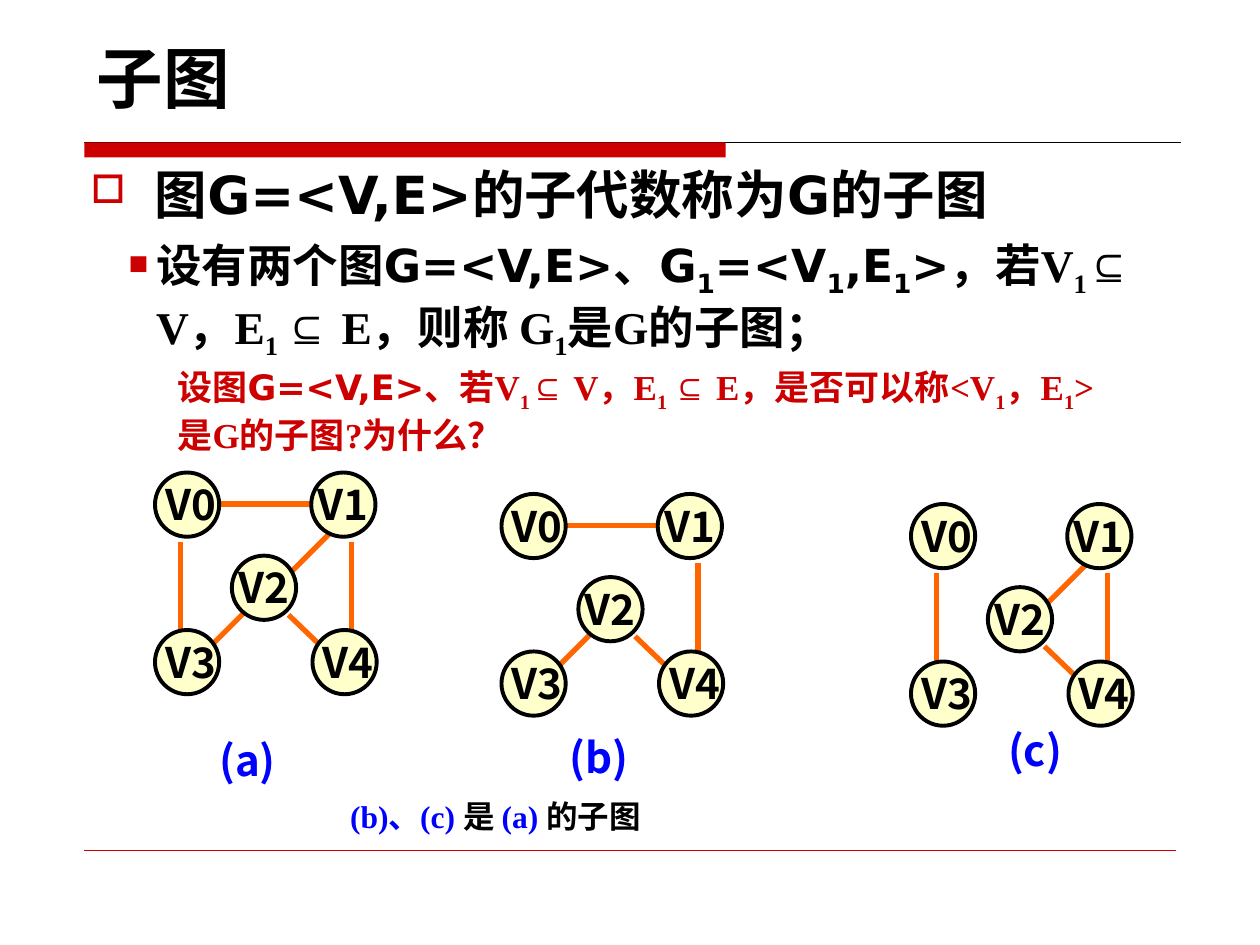
from typing import NamedTuple

from lxml.etree import SubElement
from pptx import Presentation
from pptx.dml.color import RGBColor
from pptx.enum.shapes import MSO_CONNECTOR, MSO_SHAPE
from pptx.enum.text import MSO_ANCHOR, PP_ALIGN
from pptx.oxml.ns import qn
from pptx.util import Emu, Pt

PX = 9144  # 100 px to the inch

RED = RGBColor(0xCC, 0x00, 0x00)
BLACK = RGBColor(0x00, 0x00, 0x00)
BLUE = RGBColor(0x00, 0x00, 0xFF)
ORANGE = RGBColor(0xFF, 0x66, 0x00)
CREAM = RGBColor(0xFF, 0xFF, 0xCC)

SANS = "DejaVu Sans"
SERIF = "Times New Roman"
CJK = "Noto Sans CJK SC"
SYMBOL = "Arial"


class Run(NamedTuple):
    text: str
    font: str = SERIF
    sub: bool = False
    color: RGBColor | None = None


class Bullet(NamedTuple):
    char: str
    margin: int
    indent: int
    percent: int


class Node(NamedTuple):
    label: str
    x: int
    y: int
    label_dx: int


class Edge(NamedTuple):
    x1: int
    y1: int
    x2: int
    y2: int


class Graph(NamedTuple):
    x: int
    y: int
    edges: str
    caption: str
    caption_x: int
    caption_y: int


def px(length: int) -> Emu:
    return Emu(length * PX)


def add_runs(paragraph, runs: list[Run], size: int, color: RGBColor) -> None:
    for item in runs:
        run = paragraph.add_run()
        run.text = item.text
        run.font.name = item.font
        run.font.size = Pt(size)
        run.font.bold = True
        run.font.color.rgb = item.color or color
        properties = run.font._element
        east_asian = SYMBOL if item.font == SYMBOL else CJK
        SubElement(properties, qn("a:ea"), typeface=east_asian)
        if item.sub:
            properties.set("baseline", "-25000")


def add_box(shapes, x: int, y: int, w: int, h: int, inset: int = 10):
    frame = shapes.add_textbox(px(x), px(y), px(w), px(h)).text_frame
    frame.word_wrap = True
    frame.margin_left = px(inset)
    return frame


def add_bullet(paragraph, bullet: Bullet) -> None:
    properties = paragraph._p.get_or_add_pPr()
    properties.set("marL", str(px(bullet.margin)))
    properties.set("indent", str(px(bullet.indent)))
    color = SubElement(properties, qn("a:buClr"))
    SubElement(color, qn("a:srgbClr"), val=str(RED))
    SubElement(properties, qn("a:buSzPct"), val=str(bullet.percent * 1000))
    SubElement(properties, qn("a:buChar"), char=bullet.char)


def add_line(shapes, edge: Edge, color: RGBColor, width: float, x: int = 0, y: int = 0) -> None:
    line = shapes.add_connector(
        MSO_CONNECTOR.STRAIGHT,
        px(x + edge.x1), px(y + edge.y1), px(x + edge.x2), px(y + edge.y2),
    )
    line.line.color.rgb = color
    line.line.width = Pt(width)
    SubElement(line._element.spPr, qn("a:effectLst"))


def add_graph(slide, graph: Graph) -> None:
    shapes = slide.shapes.add_group_shape().shapes
    for name in graph.edges.split():
        add_line(shapes, EDGES[name], ORANGE, 3, graph.x, graph.y)
    for node in NODES:
        x, y = graph.x + node.x, graph.y + node.y
        circle = shapes.add_shape(MSO_SHAPE.OVAL, px(x), px(y), px(51), px(51))
        circle.shadow.inherit = False
        circle.fill.solid()
        circle.fill.fore_color.rgb = CREAM
        circle.line.color.rgb = BLACK
        circle.line.width = Pt(2.25)
        label = add_box(shapes, x + node.label_dx, y, 71, 50, inset=13)
        add_runs(label.paragraphs[0], [Run(node.label, CJK)], 24, BLACK)
    caption = add_box(slide.shapes, graph.caption_x, graph.caption_y, 123, 50).paragraphs[0]
    caption.alignment = PP_ALIGN.CENTER
    add_runs(caption, [Run(graph.caption, CJK)], 24, BLUE)


# Node and edge places relative to the corner of a graph
NODES = [
    Node("V0", 0, 0, -5),
    Node("V4", 125, 125, -5),
    Node("V3", 0, 125, -5),
    Node("V1", 124, 0, -8),
    Node("V2", 61, 66, -8),
]
EDGES = {
    "V0V1": Edge(49, 25, 132, 25),
    "V0V3": Edge(20, 55, 20, 127),
    "V1V4": Edge(156, 55, 156, 127),
    "V1V2": Edge(138, 49, 108, 79),
    "V2V3": Edge(73, 109, 43, 139),
    "V2V4": Edge(106, 113, 132, 138),
}
GRAPHS = [
    Graph(398, 392, "V0V1 V1V4 V2V3 V2V4", "(b)", 414, 576),
    Graph(723, 400, "V0V3 V1V4 V1V2 V2V4", "(c)", 760, 570),
    Graph(123, 375, " ".join(EDGES), "(a)", 135, 578),
]

# Wording
ONE = Run("1", sub=True)
SANS_ONE = Run("1", SANS, sub=True)
SUBSET = Run("⊆", SYMBOL)
GRAPH_G = Run("G=<V,E>", SANS)
CONDITION = [ONE, SUBSET, Run(" V，E"), Run("1 ", sub=True), SUBSET]
HEADLINE = [Run("图G=<V,E>的子代数称为G的子图", SANS)]
DEFINITION = [
    Run("设有两个图"), GRAPH_G, Run("、"),
    Run("G", SANS), SANS_ONE, Run("=<V", SANS), SANS_ONE,
    Run(",E", SANS), SANS_ONE, Run(">", SANS),
    Run("，若V"), *CONDITION, Run(" E，则称 G"), ONE, Run("是G的子图；"),
]
QUESTION = [
    Run("设图"), GRAPH_G, Run("、若V"), *CONDITION,
    Run(" E，是否可以称<V"), ONE, Run("，E"), ONE, Run(">是G的子图?为什么？"),
]
CONCLUSION = [
    Run("(b)、(c) ", color=BLUE), Run("是 "),
    Run("(a) ", color=BLUE), Run("的子图"),
]


def main() -> None:
    presentation = Presentation()
    presentation.slide_width, presentation.slide_height = px(1000), px(750)
    slide = presentation.slides.add_slide(presentation.slide_layouts[6])
    shapes = slide.shapes

    # Rules above and below the content
    add_line(shapes, Edge(67, 113, 937, 113), BLACK, 0.75)
    bar = shapes.add_shape(MSO_SHAPE.RECTANGLE, px(67), px(113), px(509), px(12))
    bar.shadow.inherit = False
    bar.fill.solid()
    bar.fill.fore_color.rgb = RED
    bar.line.fill.background()
    add_line(shapes, Edge(67, 675, 933, 675), RED, 0.25)

    # Title
    title = add_box(shapes, 67, 12, 656, 86)
    title.vertical_anchor = MSO_ANCHOR.BOTTOM
    add_runs(title.paragraphs[0], [Run("子图", SANS)], 38, BLACK)

    # Definition
    body = add_box(shapes, 62, 124, 875, 534)
    headline = body.paragraphs[0]
    add_bullet(headline, Bullet("□", 51, -51, 75))
    add_runs(headline, HEADLINE, 30, BLACK)
    definition = body.add_paragraph()
    definition.level = 1
    definition.space_before = Pt(6.5)
    add_bullet(definition, Bullet("■", 52, -22, 60))
    add_runs(definition, DEFINITION, 26, BLACK)

    # Question
    question = add_box(shapes, 131, 285, 748, 86)
    add_runs(question.paragraphs[0], QUESTION, 20, RED)

    # Graphs and conclusion
    for graph in GRAPHS:
        add_graph(slide, graph)
    conclusion = add_box(shapes, 262, 628, 387, 40, inset=16)
    add_runs(conclusion.paragraphs[0], CONCLUSION, 18, BLACK)

    presentation.save("out.pptx")


if __name__ == "__main__":
    main()
